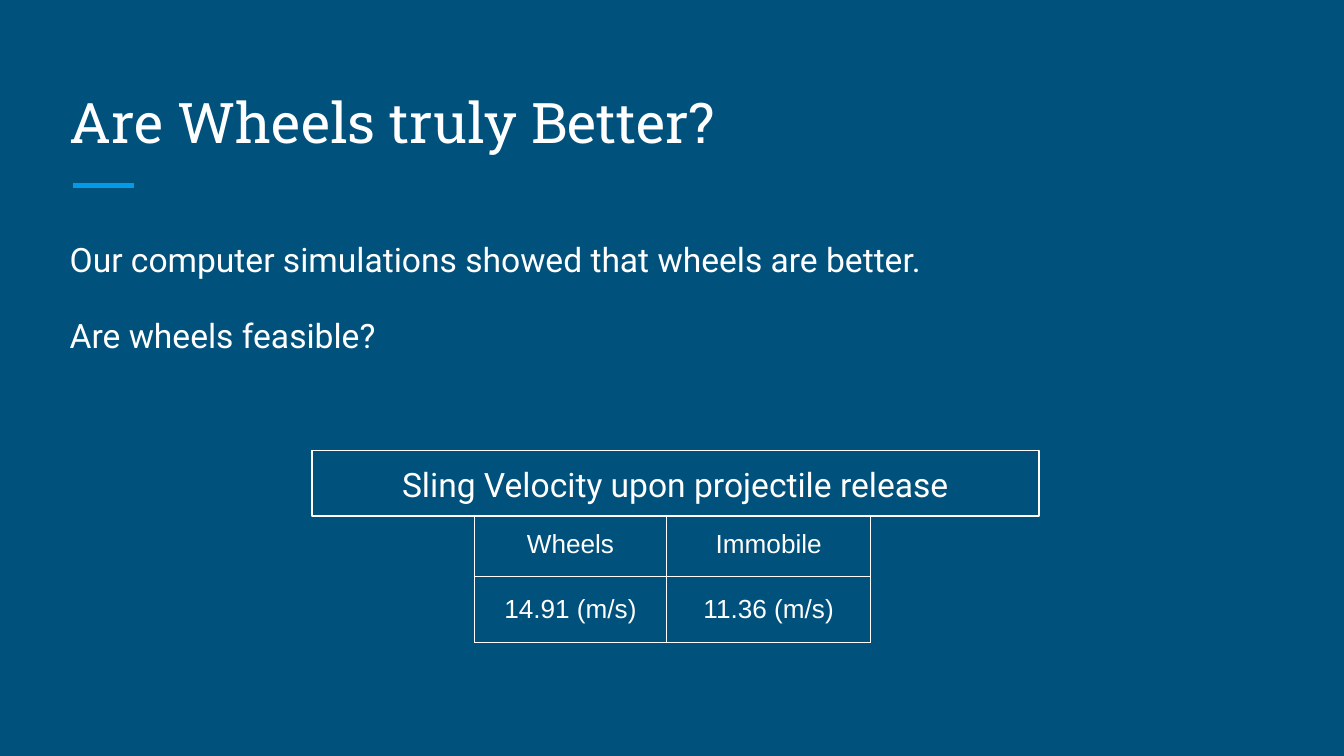
from dataclasses import dataclass

from lxml.etree import SubElement
from pptx import Presentation
from pptx.dml.color import RGBColor
from pptx.enum.shapes import MSO_CONNECTOR as Connector, MSO_SHAPE as Shape
from pptx.enum.text import MSO_ANCHOR as Anchor, MSO_AUTO_SIZE as AutoSize, PP_ALIGN as Align
from pptx.oxml.ns import qn
from pptx.util import Inches, Pt


@dataclass(frozen=True)
class Theme:
    background: str = "00517C"
    accent: str = "039BE5"
    white: str = "FFFFFF"
    title_font: str = "Roboto Slab"
    body_font: str = "Roboto"
    table_font: str = "Arial"
    title_size: int = 30
    body_size: int = 18
    table_size: int = 14
    border: float = 0.75
    accent_width: int = 3
    inset: float = 0.1


def color(value):
    return RGBColor.from_string(value)


def write_text(paragraph, text, *, font, size, fill, align=Align.LEFT, spacing=1.0, before=0):
    paragraph.alignment = align
    paragraph.line_spacing = spacing
    paragraph.space_before = Pt(before)
    run = paragraph.add_run()
    run.text = text
    run.font.name = font
    run.font.size = Pt(size)
    run.font.bold = False
    run.font.color.rgb = color(fill)


class SlideBuilder:
    def __init__(self, slide, theme):
        self.slide = slide
        self.theme = theme
        background = slide.background.fill
        background.solid()
        background.fore_color.rgb = color(theme.background)

    def place(self, box):
        return [Inches(value) for value in box]

    def set_margins(self, target):
        inset = Inches(self.theme.inset)
        target.margin_left = target.margin_right = inset
        target.margin_top = target.margin_bottom = inset

    def prepare_frame(self, shape, anchor):
        frame = shape.text_frame
        frame.word_wrap = True
        frame.auto_size = AutoSize.NONE
        frame.vertical_anchor = anchor
        self.set_margins(frame)
        return frame

    def add_title(self, text, box):
        title = self.slide.shapes.title
        title.left, title.top, title.width, title.height = self.place(box)
        frame = self.prepare_frame(title, Anchor.BOTTOM)
        write_text(frame.paragraphs[0], text, font=self.theme.title_font,
                   size=self.theme.title_size, fill=self.theme.white)

    def add_accent(self, left, right, top):
        line = self.slide.shapes.add_connector(
            Connector.STRAIGHT, *self.place((left, top, right, top)))
        line.line.color.rgb = color(self.theme.accent)
        line.line.width = Pt(self.theme.accent_width)
        SubElement(line._element.spPr, qn("a:effectLst"))

    def add_body(self, texts, box):
        shape = self.slide.shapes.add_textbox(*self.place(box))
        frame = self.prepare_frame(shape, Anchor.TOP)
        for index, text in enumerate(texts):
            paragraph = frame.add_paragraph() if index else frame.paragraphs[0]
            write_text(paragraph, text, font=self.theme.body_font, size=self.theme.body_size,
                       fill=self.theme.white, spacing=1.15, before=16 if index else 0)

    def add_caption(self, text, box):
        shape = self.slide.shapes.add_shape(Shape.RECTANGLE, *self.place(box))
        shape.shadow.inherit = False
        shape.fill.background()
        shape.line.color.rgb = color(self.theme.white)
        shape.line.width = Pt(self.theme.border)
        frame = self.prepare_frame(shape, Anchor.TOP)
        write_text(frame.paragraphs[0], text, font=self.theme.body_font,
                   size=self.theme.body_size, fill=self.theme.white, align=Align.CENTER)

    def add_borders(self, cell):
        properties = cell._tc.get_or_add_tcPr()
        for side in ("lnL", "lnR", "lnT", "lnB"):
            line = SubElement(properties, qn(f"a:{side}"), w=str(Pt(self.theme.border)))
            fill = SubElement(line, qn("a:solidFill"))
            SubElement(fill, qn("a:srgbClr"), val=self.theme.white)

    def add_table(self, rows, left, top, widths, heights):
        box = (left, top, sum(widths), sum(heights))
        table = self.slide.shapes.add_table(len(rows), len(widths), *self.place(box)).table
        table.first_row = table.horz_banding = False
        for column, width in zip(table.columns, widths):
            column.width = Inches(width)
        for index, (row, height) in enumerate(zip(table.rows, heights)):
            row.height = Inches(height)
            for cell, text in zip(row.cells, rows[index]):
                self.add_borders(cell)
                cell.fill.background()
                self.set_margins(cell)
                write_text(cell.text_frame.paragraphs[0], text, font=self.theme.table_font,
                           size=self.theme.table_size, fill=self.theme.white,
                           align=Align.CENTER, spacing=1.15 if index else 1.0)


def main():
    presentation = Presentation()
    presentation.slide_width = Inches(10)
    presentation.slide_height = presentation.slide_width * 9 // 16
    slide = presentation.slides.add_slide(presentation.slide_layouts[5])
    builder = SlideBuilder(slide, Theme())

    builder.add_accent(0.54, 1, 1.38)
    builder.add_title("Are Wheels truly Better?", (0.42, 0.5, 5.41, 0.75))
    builder.add_body(["Our computer simulations showed that wheels are better.",
                      "Are wheels feasible?"], (0.42, 1.63, 9.15, 3.37))
    builder.add_table([["Wheels", "Immobile"], ["14.91 (m/s)", "11.36 (m/s)"]],
                      3.53, 3.84, widths=(1.43, 1.52), heights=(0.45, 0.49))
    builder.add_caption("Sling Velocity upon projectile release", (2.32, 3.35, 5.41, 0.49))
    presentation.save("out.pptx")


if __name__ == "__main__":
    main()
